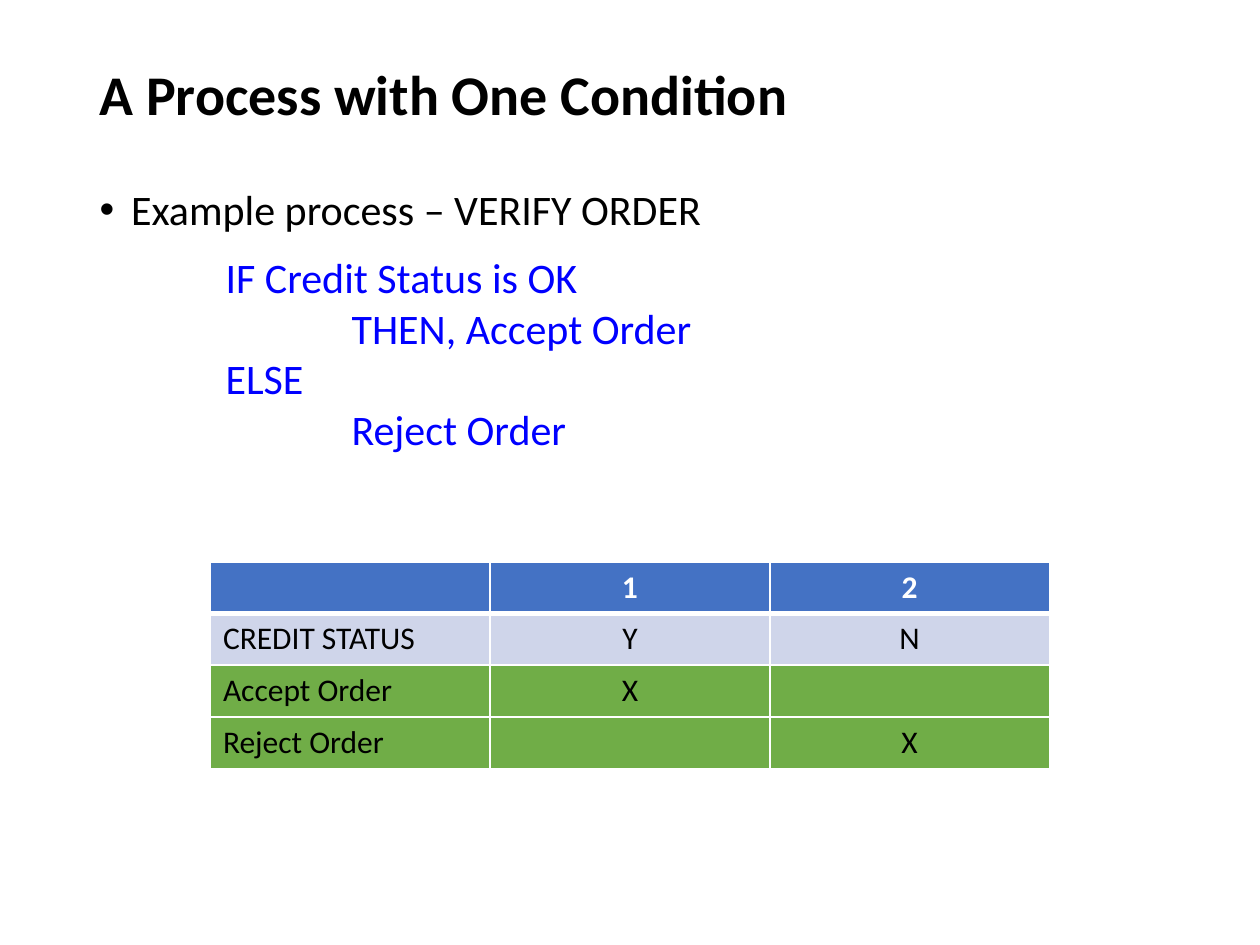
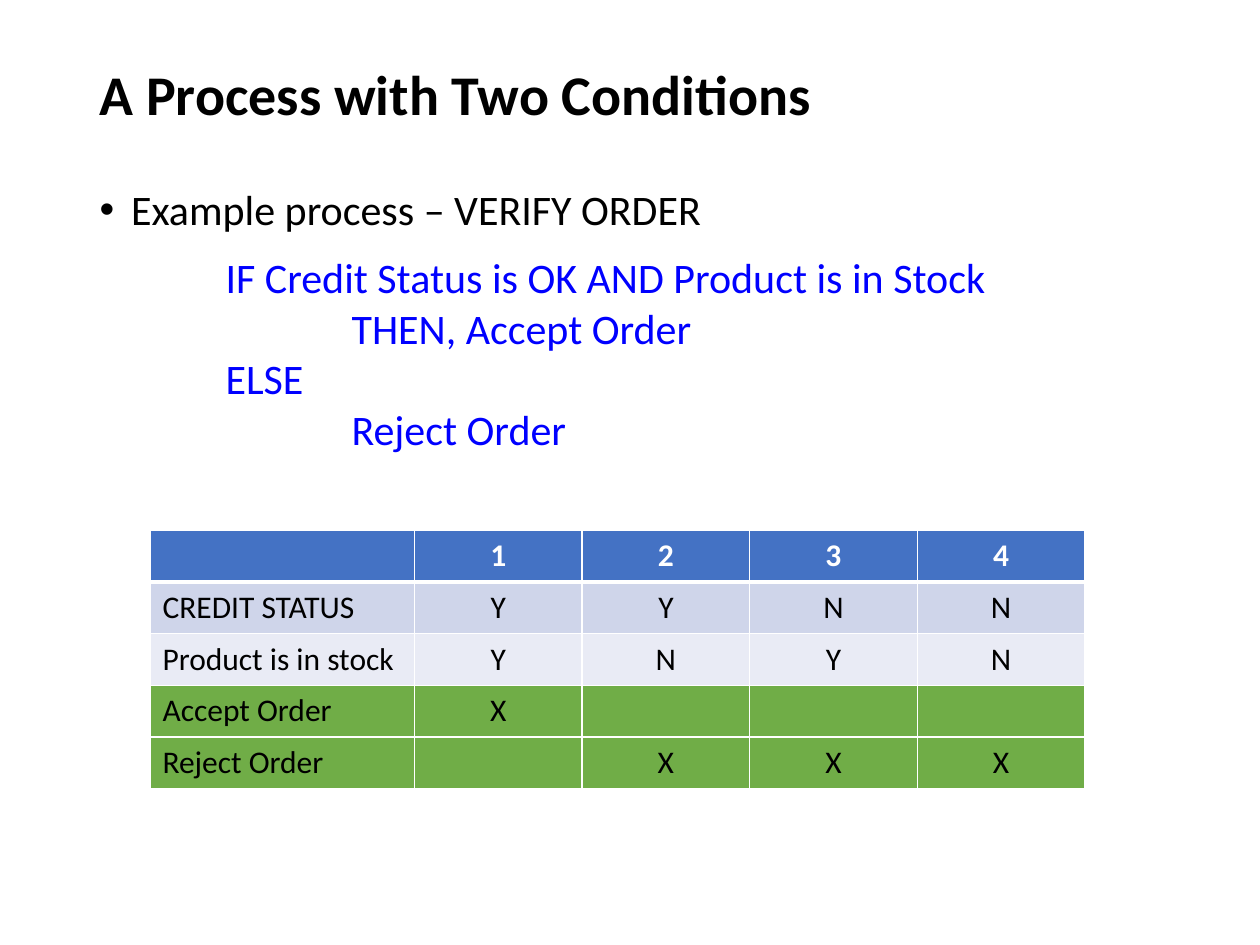
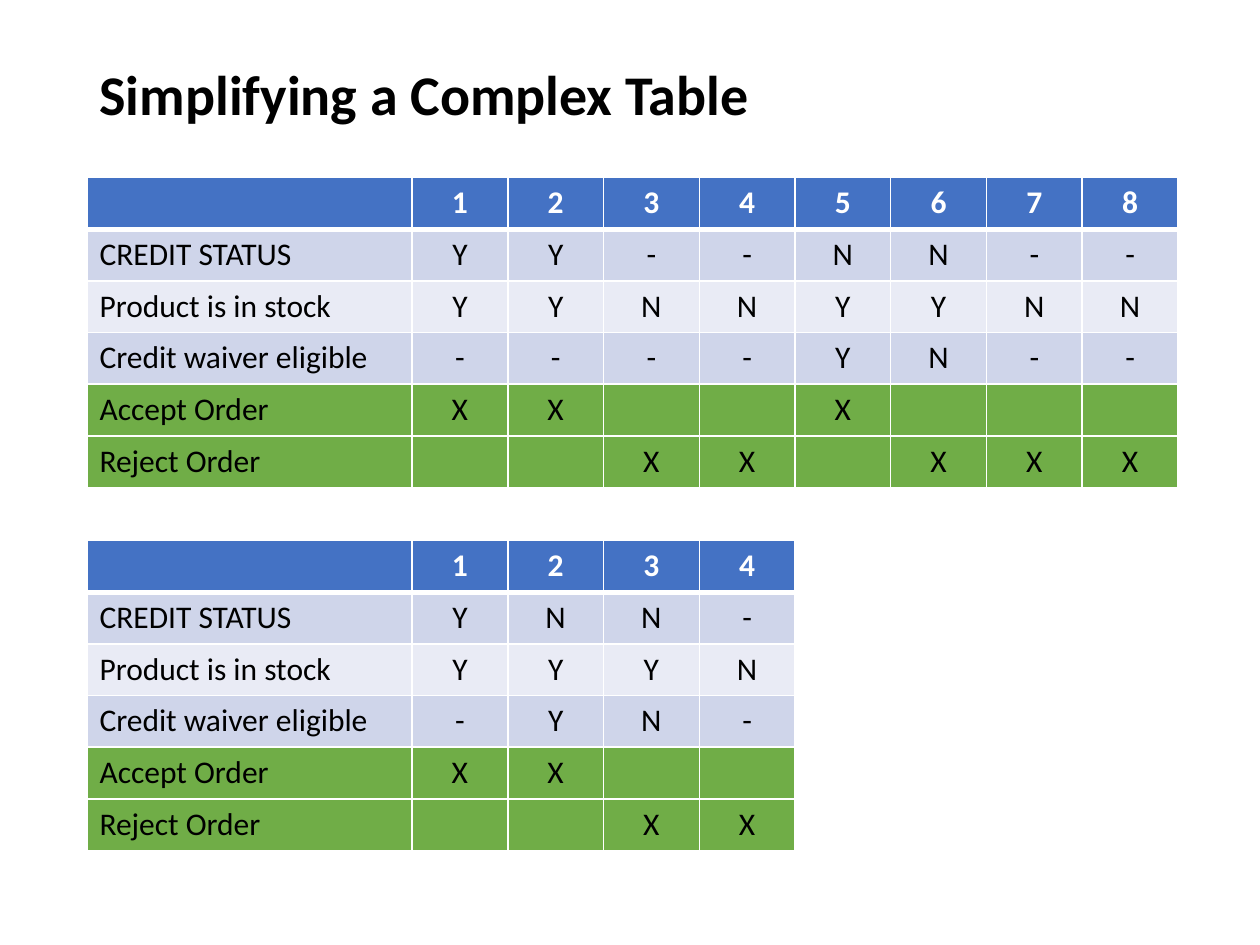
from itertools import cycle

from lxml.etree import SubElement
from pptx import Presentation
from pptx.dml.color import RGBColor
from pptx.enum.text import MSO_ANCHOR, MSO_AUTO_SIZE, PP_ALIGN
from pptx.oxml.ns import qn
from pptx.util import Inches, Pt

CONTENT_SLIDE, TITLE_ONLY = 1, 5
MARGIN, CONTENT_TOP, CONTENT_WIDTH = 0.69, 1.41, 8.62
ROW_HEIGHT = 0.41


def color(hex_string):
    return RGBColor.from_string(hex_string)


class DecisionDeck:
    """Builds decision-table slides in one shared style."""

    FONT = "Calibri"
    INK, WHITE, CODE = "000000", "FFFFFF", "0000FF"
    HEADER, BANDS, ACTION = "4472C4", ("CFD5EA", "E9EBF5"), "70AD47"

    def __init__(self):
        self.deck = Presentation()
        self.deck.slide_width = Inches(10)
        self.deck.slide_height = Inches(7.5)
        self.slide = None

    def style(self, paragraph, size, ink, bold=False, align=PP_ALIGN.LEFT):
        font = paragraph.font
        font.name, font.size, font.bold = self.FONT, Pt(size), bold
        font.color.rgb = color(ink)
        paragraph.alignment = align

    def place(self, placeholder, top, height, anchor):
        placeholder.left, placeholder.top = Inches(MARGIN), Inches(top)
        placeholder.width, placeholder.height = Inches(CONTENT_WIDTH), Inches(height)
        frame = placeholder.text_frame
        frame.auto_size = MSO_AUTO_SIZE.NONE
        frame.vertical_anchor = anchor
        return frame

    def add_slide(self, title, layout):
        self.slide = self.deck.slides.add_slide(self.deck.slide_layouts[layout])
        frame = self.place(self.slide.shapes.title, 0.4, 0.74, MSO_ANCHOR.MIDDLE)
        frame.text = title
        heading = frame.paragraphs[0]
        heading.line_spacing = 0.9
        self.style(heading, 32, self.INK, bold=True)

    def add_line(self, paragraph, text, ink, left, hanging=0, before=0):
        paragraph.text = text
        paragraph.space_before = Pt(before)
        self.style(paragraph, 24, ink)
        properties = paragraph._p.get_or_add_pPr()
        properties.set("marL", str(Inches(left)))
        properties.set("indent", str(-Inches(hanging)))
        if hanging:
            SubElement(properties, qn("a:buChar"), char="•")
        else:
            SubElement(properties, qn("a:buNone"))

    def add_process(self, intro, condition):
        frame = self.place(self.slide.placeholders[1], CONTENT_TOP, 5.34, MSO_ANCHOR.TOP)
        self.add_line(frame.paragraphs[0], intro, self.INK, 0.25, hanging=0.25, before=10)
        rules = [(condition, 1), ("THEN, Accept Order", 2), ("ELSE", 1), ("Reject Order", 2)]
        for number, (rule, left) in enumerate(rules):
            self.add_line(frame.add_paragraph(), rule, self.CODE, left,
                          before=0 if number else 10)

    def add_borders(self, cell, top, bottom):
        properties = cell._tc.get_or_add_tcPr()
        for side, points in (("L", 1), ("R", 1), ("T", top), ("B", bottom)):
            line = SubElement(properties, qn(f"a:ln{side}"), w=str(Pt(points)))
            fill = SubElement(line, qn("a:solidFill"))
            SubElement(fill, qn("a:srgbClr"), val=self.WHITE)

    def add_decision_table(self, left, top, label_width, rule_width, conditions, actions):
        rule_count = len(conditions[0][1])
        header = ("", "".join(str(n + 1) for n in range(rule_count)))
        rows = [header, *conditions, *actions]
        bands = cycle(self.BANDS)
        fills = [self.HEADER, *(next(bands) for _ in conditions), *(self.ACTION for _ in actions)]
        widths = [label_width] + [rule_width] * rule_count
        table = self.slide.shapes.add_table(
            len(rows), len(widths), Inches(left), Inches(top),
            Inches(sum(widths)), Inches(ROW_HEIGHT * len(rows))).table
        for column, width in zip(table.columns, widths):
            column.width = Inches(width)
        for r, ((label, marks), fill) in enumerate(zip(rows, fills)):
            table.rows[r].height = Inches(ROW_HEIGHT)
            for c, text in enumerate([label, *marks]):
                cell = table.cell(r, c)
                cell.text = text.strip()
                self.style(cell.text_frame.paragraphs[0], 18,
                           self.INK if r else self.WHITE, bold=r == 0,
                           align=PP_ALIGN.CENTER if c else PP_ALIGN.LEFT)
                self.add_borders(cell, 3 if r == 1 else 1, 1 if r else 3)
                cell.fill.solid()
                cell.fill.fore_color.rgb = color(fill)


def main():
    credit, stock, waiver = "CREDIT STATUS", "Product is in stock", "Credit waiver eligible"
    accept, reject = "Accept Order", "Reject Order"
    example = "Example process – VERIFY ORDER"
    deck = DecisionDeck()

    deck.add_slide("A Process with One Condition", CONTENT_SLIDE)
    deck.add_process(example, "IF Credit Status is OK")
    deck.add_decision_table(1.67, 4.46, 2.22, 2.22, [(credit, "YN")],
                            [(accept, "X "), (reject, " X")])

    deck.add_slide("A Process with Two Conditions", CONTENT_SLIDE)
    deck.add_process(example, "IF Credit Status is OK AND Product is in Stock")
    deck.add_decision_table(1.19, 4.21, 2.1, 1.33, [(credit, "YYNN"), (stock, "YNYN")],
                            [(accept, "X   "), (reject, " XXX")])

    deck.add_slide("Simplifying a Complex Table", TITLE_ONLY)
    deck.add_decision_table(
        MARGIN, CONTENT_TOP, 2.58, 0.76,
        [(credit, "YY--NN--"), (stock, "YYNNYYNN"), (waiver, "----YN--")],
        [(accept, "XX  X   "), (reject, "  XX XXX")])
    deck.add_decision_table(
        MARGIN, 4.29, 2.58, 0.76,
        [(credit, "YNN-"), (stock, "YYYN"), (waiver, "-YN-")],
        [(accept, "XX  "), (reject, "  XX")])

    deck.deck.save("out.pptx")


if __name__ == "__main__":
    main()
